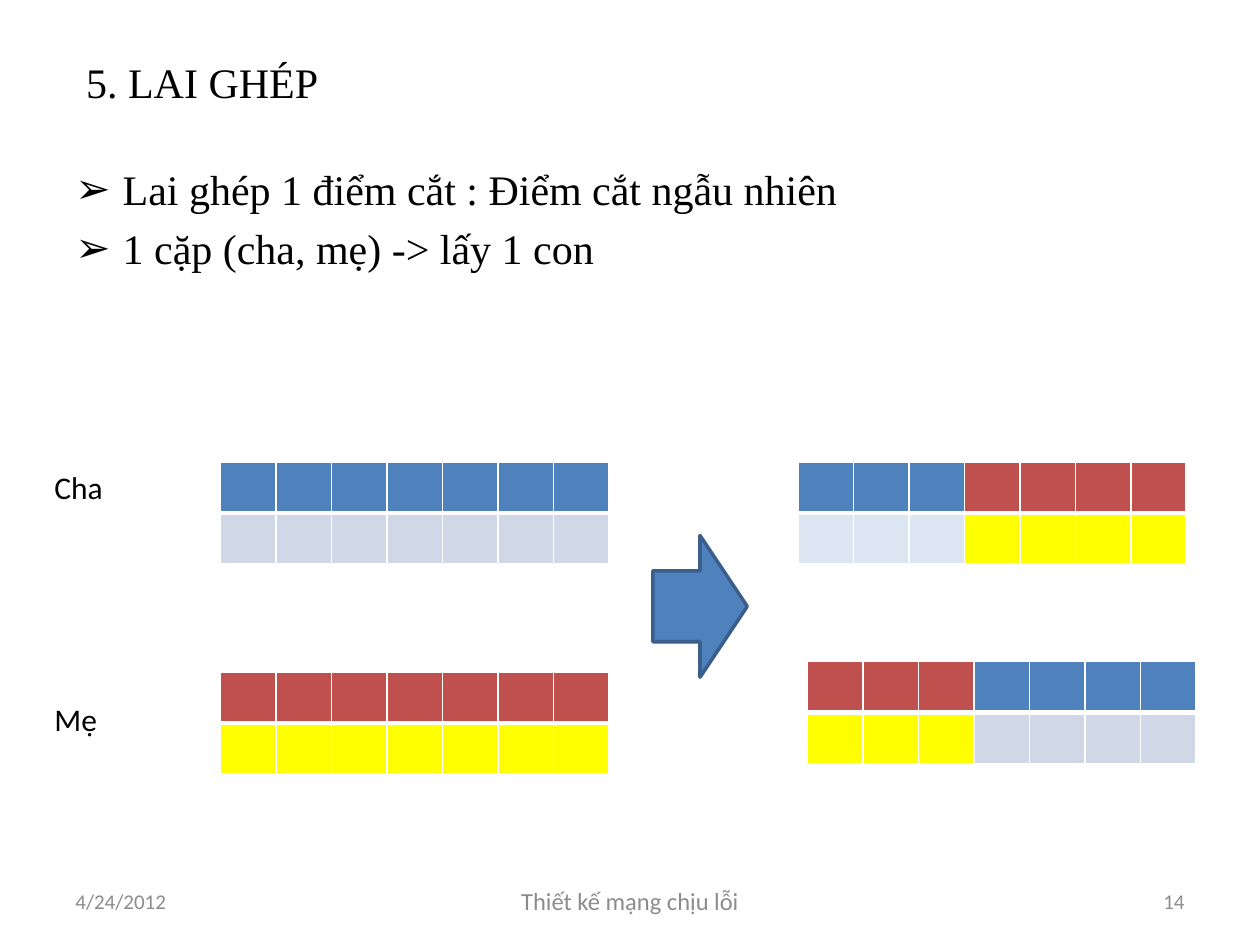
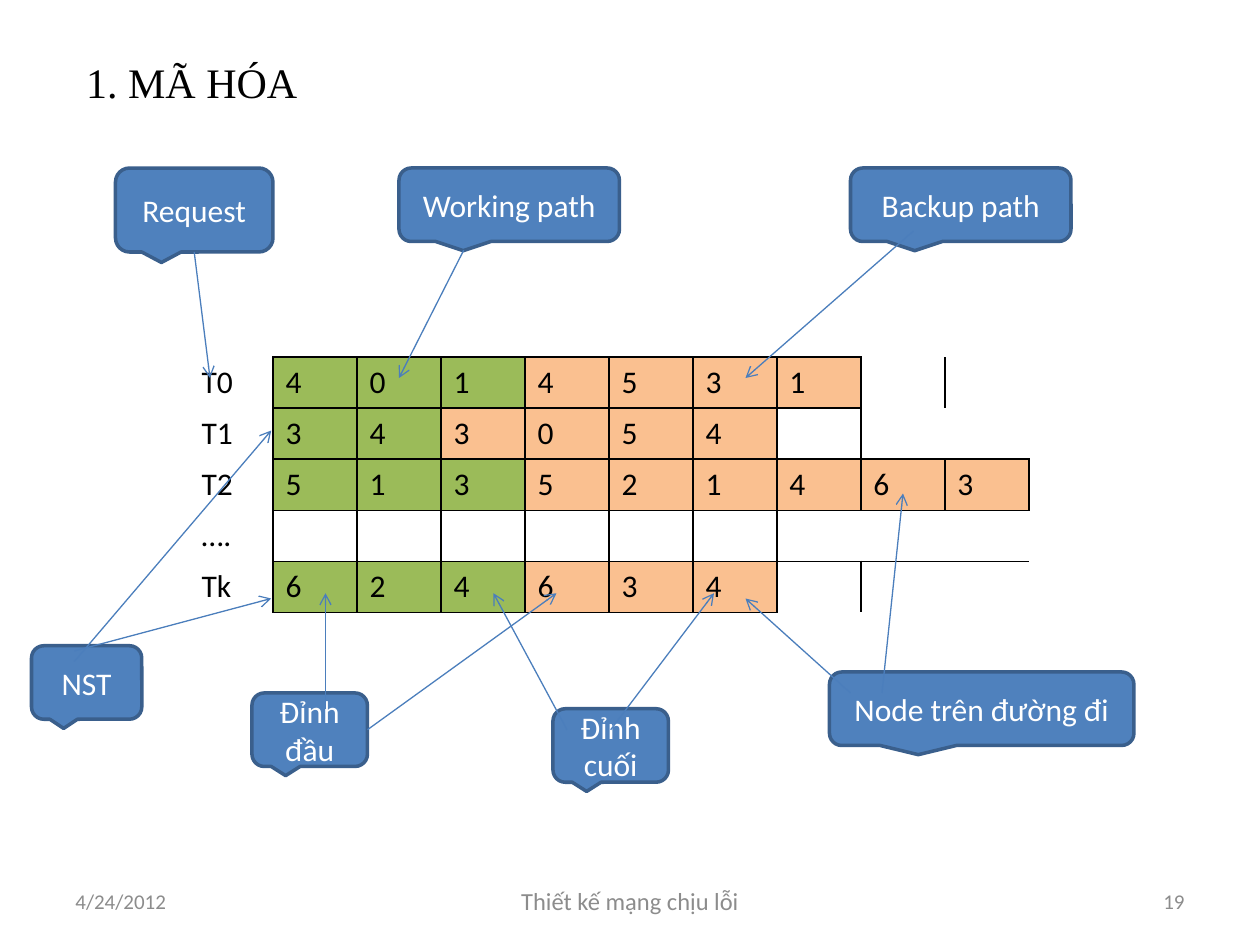
from collections import namedtuple
from dataclasses import dataclass

from lxml import etree
from pptx import Presentation
from pptx import util as u
from pptx.dml.color import RGBColor
from pptx.enum import shapes, text
from pptx.oxml import ns


@dataclass(frozen=True)
class Theme:
    serif: str = "Times New Roman"
    sans: str = "Calibri"
    heading_size: int = 24
    body_size: int = 18
    footer_size: int = 14
    small_size: int = 12
    black: str = "000000"
    white: str = "FFFFFF"
    grey: str = "8C8C8C"
    blue: str = "4F81BD"
    outline: str = "3A5F8C"
    arrow: str = "4B7EBC"
    red: str = "C0504D"
    yellow: str = "FFFF00"
    lavender: str = "D0D8E8"
    pale_blue: str = "DCE6F2"
    green: str = "9BBB59"
    orange: str = "FAC090"


THEME = Theme()
Box = namedtuple("Box", "left top width height")
TITLE_BOX = Box(42, 21.6, 642, 50.4)
FOOTER_BOX = Box(36, 500.4, 648, 28.8)
NO_STYLE = "{2D5ABB26-0587-4C30-8999-92F81FD0307C}"
ROW_HEIGHT = 29.2
FATHER = (THEME.blue, THEME.lavender)
FATHER_PALE = (THEME.blue, THEME.pale_blue)
MOTHER = (THEME.red, THEME.yellow)


def within(box, left, top, width, height):
    return Box(box.left + left, box.top + top, width, height)


def points(values):
    return [u.Pt(value) for value in values]


def paint(fill, color):
    fill.solid()
    fill.fore_color.rgb = RGBColor.from_string(color)


def add_child(parent, tag, **attributes):
    return etree.SubElement(parent, ns.qn(tag), attributes)


def format_text(frame, size, color, font=THEME.sans, align=text.PP_ALIGN.LEFT):
    for paragraph in frame.paragraphs:
        paragraph.alignment = align
        for run in paragraph.runs:
            run.font.name = font
            run.font.size = u.Pt(size)
            run.font.color.rgb = RGBColor.from_string(color)


def add_text(slide, box, content, size, color, font=THEME.sans,
             align=text.PP_ALIGN.LEFT, anchor=text.MSO_ANCHOR.TOP):
    frame = slide.shapes.add_textbox(*points(box)).text_frame
    frame.word_wrap = True
    frame.vertical_anchor = anchor
    frame.text = content
    format_text(frame, size, color, font, align)
    return frame


def add_block(slide, preset, box):
    shape = slide.shapes.add_shape(preset, *points(box))
    shape.shadow.inherit = False
    paint(shape.fill, THEME.blue)
    paint(shape.line.fill, THEME.outline)
    shape.line.width = u.Pt(2)
    return shape


def add_plain_table(slide, box, rows, columns):
    table = slide.shapes.add_table(rows, columns, *points(box)).table
    table.first_row = table.horz_banding = False
    table._tbl.tblPr.find(ns.qn("a:tableStyleId")).text = NO_STYLE
    return table


def set_borders(cell, color, widths):
    properties = cell._tc.get_or_add_tcPr()
    sides = [side for side in "LRTB" if side in widths]
    for index, side in enumerate(sides):
        border = add_child(properties, f"a:ln{side}", w=str(u.Pt(widths[side])))
        add_child(add_child(border, "a:solidFill"), "a:srgbClr", val=color)
        properties.insert(index, border)


def add_footer(slide, box, number):
    parts = (
        (0, 168, "4/24/2012", THEME.small_size, text.PP_ALIGN.LEFT),
        (210, 228, "Thiết kế mạng chịu lỗi", THEME.footer_size, text.PP_ALIGN.CENTER),
        (480, 168, str(number), THEME.small_size, text.PP_ALIGN.RIGHT),
    )
    for left, width, content, size, align in parts:
        add_text(slide, within(box, left, 0, width, box.height), content, size,
                 THEME.grey, align=align, anchor=text.MSO_ANCHOR.MIDDLE)


def add_titled_slide(presentation, heading, number):
    slide = presentation.slides.add_slide(presentation.slide_layouts[5])
    title = slide.shapes.title
    title.left, title.top, title.width, title.height = points(TITLE_BOX)
    title.text_frame.text = heading
    title.text_frame.vertical_anchor = text.MSO_ANCHOR.MIDDLE
    format_text(title.text_frame, THEME.heading_size, THEME.black, THEME.serif)
    add_footer(slide, FOOTER_BOX, number)
    return slide


def add_bullets(slide, box, lines):
    frame = add_text(slide, box, "\n".join(lines), THEME.heading_size,
                     THEME.black, THEME.serif)
    for paragraph in frame.paragraphs:
        paragraph.space_before = u.Pt(4.8)
        properties = paragraph._p.get_or_add_pPr()
        properties.set("marL", str(u.Pt(27)))
        properties.set("indent", str(u.Pt(-27)))
        add_child(properties, "a:buFont", typeface="Arial")
        add_child(properties, "a:buChar", char="➢")


def add_chromosome(slide, box, segments):
    genes = [colors for count, colors in segments for _ in range(count)]
    table = add_plain_table(slide, box, 2, len(genes))
    for column, colors in enumerate(genes):
        for row, color in enumerate(colors):
            cell = table.cell(row, column)
            paint(cell.fill, color)
            set_borders(cell, THEME.white,
                        {"L": 1, "R": 1, "T": 3 if row else 1, "B": 1 if row else 3})


def add_crossover(slide, box):
    chromosomes = (
        (102, 0, [(7, FATHER)]),
        (102, 120, [(7, MOTHER)]),
        (432, 0, [(3, FATHER_PALE), (4, MOTHER)]),
        (437.5, 114, [(3, MOTHER), (4, FATHER)]),
    )
    for left, top, segments in chromosomes:
        add_chromosome(slide, within(box, left, top, 222, 2 * ROW_HEIGHT), segments)
    for top, label in ((0, "Cha"), (132.5, "Mẹ")):
        add_text(slide, within(box, 0, top, 72, 29), label, THEME.body_size, THEME.black)
    add_block(slide, shapes.MSO_SHAPE.RIGHT_ARROW, within(box, 349, 42, 54, 81))


def add_encoding_table(slide, box):
    routes = (
        ("T0", "401", "4531"),
        ("T1", "34", "3054"),
        ("T2", "513", "521463"),
        ("….", "", "     "),
        ("Tk", "624", "634"),
    )
    columns = 10
    table = add_plain_table(slide, box, len(routes), columns)

    def is_framed(row, column):
        if not 0 <= row < len(routes):
            return False
        return 1 <= column <= len(routes[row][1] + routes[row][2])

    for row, (label, working, backup) in enumerate(routes):
        values = [label, *(working + backup)]
        for column in range(columns):
            cell = table.cell(row, column)
            value = values[column].strip() if column < len(values) else ""
            color = THEME.white
            if value and column:
                color = THEME.green if column <= len(working) else THEME.orange
            cell.text_frame.text = value
            format_text(cell.text_frame, THEME.body_size, THEME.black)
            paint(cell.fill, color)
            neighbours = {"L": (row, column - 1), "R": (row, column + 1),
                          "T": (row - 1, column), "B": (row + 1, column)}
            set_borders(cell, THEME.black, {
                side: 1 for side, neighbour in neighbours.items()
                if is_framed(row, column) or is_framed(*neighbour)})


def add_callout(slide, box, label):
    callout = add_block(slide, shapes.MSO_SHAPE.ROUNDED_RECTANGULAR_CALLOUT, box)
    frame = callout.text_frame
    frame.word_wrap = True
    frame.vertical_anchor = text.MSO_ANCHOR.MIDDLE
    frame.text = label
    format_text(frame, THEME.body_size, THEME.white, align=text.PP_ALIGN.CENTER)
    return callout


def add_arrow(slide, box, callout, start, end):
    side = start if isinstance(start, int) else None
    start = (0, 0) if side is not None else start
    ends = [box.left + start[0], box.top + start[1], box.left + end[0], box.top + end[1]]
    arrow = slide.shapes.add_connector(shapes.MSO_CONNECTOR.STRAIGHT, *points(ends))
    if side is not None:
        arrow.begin_connect(callout, side)
    paint(arrow.line.fill, THEME.arrow)
    arrow.line.width = u.Pt(0.75)
    add_child(arrow.line._get_or_add_ln(), "a:tailEnd", type="arrow")
    add_child(arrow._element.spPr, "a:effectLst")


def add_encoding(slide, box):
    add_encoding_table(slide, within(box, 90, 108, 480, 5 * ROW_HEIGHT))
    bottom, right = 2, 3
    callouts = (
        ("Request", (48, 0, 90, 48), [(bottom, (102, 120))]),
        ("Working path", (210, 0, 126, 42), [((247, 47), (210, 120))]),
        ("Backup path", (468, 0, 126, 42), [((504, 36), (408, 120))]),
        ("Node trên đường đi", (456, 288, 174, 42),
         [((468, 300), (408, 246)), ((486, 300), (498, 186))]),
        ("Đỉnh đầu", (126, 300, 66, 42),
         [((168, 309), (168, 243)), (right, (300, 243))]),
        ("Đỉnh cuối", (298, 309, 66, 42),
         [((306, 321), (264, 243)), ((331, 321), (390, 243))]),
        ("NST", (0, 273, 63, 42),
         [((24.5, 276), (137, 246)), ((24.5, 282), (137, 150))]),
    )
    for label, place, arrows in callouts:
        callout = add_callout(slide, within(box, *place), label)
        for start, end in arrows:
            add_arrow(slide, box, callout, start, end)


def main():
    presentation = Presentation()
    presentation.slide_width, presentation.slide_height = u.Pt(720), u.Pt(540)

    crossover = add_titled_slide(presentation, "5. LAI GHÉP", 14)
    add_bullets(crossover, Box(36, 90, 648, 96), (
        "Lai ghép 1 điểm cắt : Điểm cắt ngẫu nhiên",
        "1 cặp (cha, mẹ) -> lấy 1 con",
    ))
    add_crossover(crossover, Box(24, 264, 660, 180))

    encoding = add_titled_slide(presentation, "1. MÃ HÓA", 19)
    add_encoding(encoding, Box(18, 96, 630, 351))

    presentation.save("out.pptx")


if __name__ == "__main__":
    main()
